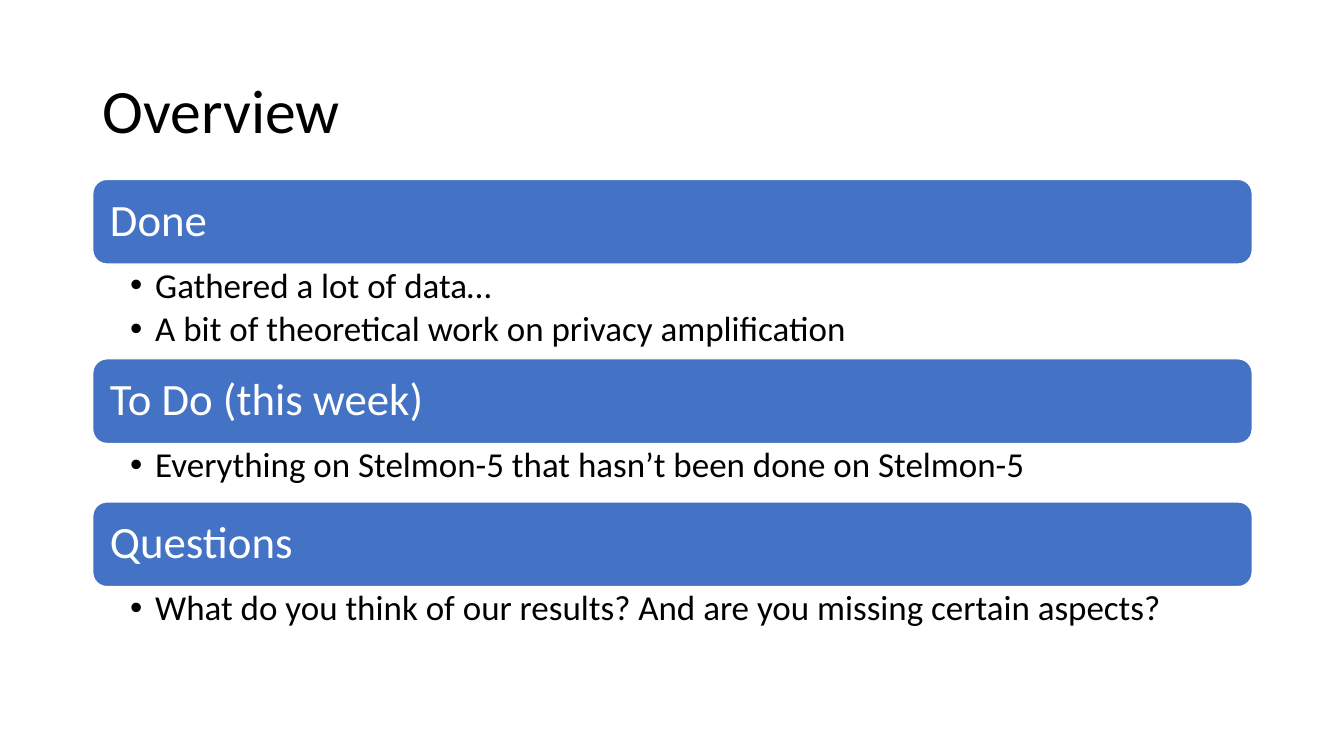
import pptx
import pptx.util
import pptx.dml.color
import pptx.enum.shapes
import pptx.enum.text
import pptx.oxml
import pptx.oxml.ns

PX = 9144
FONT = "Calibri"
COLORS = {"bar": "4472C4", "light": "FFFFFF", "dark": "000000"}
LEFT, WIDTH = 92, 1150
BAR_HEIGHT = 84
SECTIONS = [
    ("Done", 94, [
        "Gathered a lot of data…",
        "A bit of theoretical work on privacy amplification",
    ]),
    ("To Do (this week)", 58, [
        "Everything on Stelmon-5 that hasn’t been done on Stelmon-5",
    ]),
    ("Questions", 58, [
        "What do you think of our results? And are you missing certain aspects?",
    ]),
]


def color(name):
    return pptx.dml.color.RGBColor.from_string(COLORS[name])


def px(*lengths):
    return [length * PX for length in lengths]


def set_frame(shape, insets, anchor):
    frame = shape.text_frame
    frame.word_wrap = True
    frame.vertical_anchor = anchor
    (frame.margin_left, frame.margin_top,
     frame.margin_right, frame.margin_bottom) = px(*insets)
    return frame


def write_para(para, text, size, color_name):
    para.text = text
    para.alignment = pptx.enum.text.PP_ALIGN.LEFT
    para.line_spacing = 0.9
    for span in para.runs:
        span.font.name = FONT
        span.font.size = pptx.util.Pt(size)
        span.font.color.rgb = color(color_name)


def add_bullet(para):
    properties = para._p.get_or_add_pPr()
    properties.set("marL", str(25 * PX))
    properties.set("indent", str(-25 * PX))
    namespace = pptx.oxml.ns.nsdecls("a")
    properties.append(pptx.oxml.parse_xml(f'<a:buFont {namespace} typeface="Arial"/>'))
    properties.append(pptx.oxml.parse_xml(f'<a:buChar {namespace} char="•"/>'))


def add_title(page, text, left, top, width, height):
    box = page.shapes.add_textbox(*px(left, top, width, height))
    frame = set_frame(box, (10, 5, 10, 5), pptx.enum.text.MSO_ANCHOR.MIDDLE)
    write_para(frame.paragraphs[0], text, 44, "dark")


def add_bar(page, heading, left, top, width, height):
    bar = page.shapes.add_shape(
        pptx.enum.shapes.MSO_SHAPE.ROUNDED_RECTANGLE, *px(left, top, width, height))
    bar.shadow.inherit = False
    bar.fill.solid()
    bar.fill.fore_color.rgb = color("bar")
    bar.line.color.rgb = color("light")
    bar.line.width = pptx.util.Pt(1)
    frame = set_frame(bar, (13, 0, 13, 0), pptx.enum.text.MSO_ANCHOR.MIDDLE)
    write_para(frame.paragraphs[0], heading, 32, "light")


def add_points(page, points, left, top, width, height):
    box = page.shapes.add_textbox(*px(left, top, width, height))
    frame = set_frame(box, (37, 4, 25, 4), pptx.enum.text.MSO_ANCHOR.TOP)
    for index, point in enumerate(points):
        para = frame.add_paragraph() if index else frame.paragraphs[0]
        write_para(para, point, 25, "dark")
        para.space_after = pptx.util.Pt(4)
        add_bullet(para)


def add_sections(page, sections, left, top, width):
    for heading, points_height, points in sections:
        add_bar(page, heading, left, top, width, BAR_HEIGHT)
        top += BAR_HEIGHT
        add_points(page, points, left, top, width, points_height)
        top += points_height


def main():
    deck = pptx.Presentation()
    deck.slide_width, deck.slide_height = px(1333, 750)
    page = deck.slides.add_slide(deck.slide_layouts[6])
    add_title(page, "Overview", LEFT, 40, WIDTH, 145)
    add_sections(page, SECTIONS, LEFT, 178, WIDTH)
    deck.save("out.pptx")


if __name__ == "__main__":
    main()
